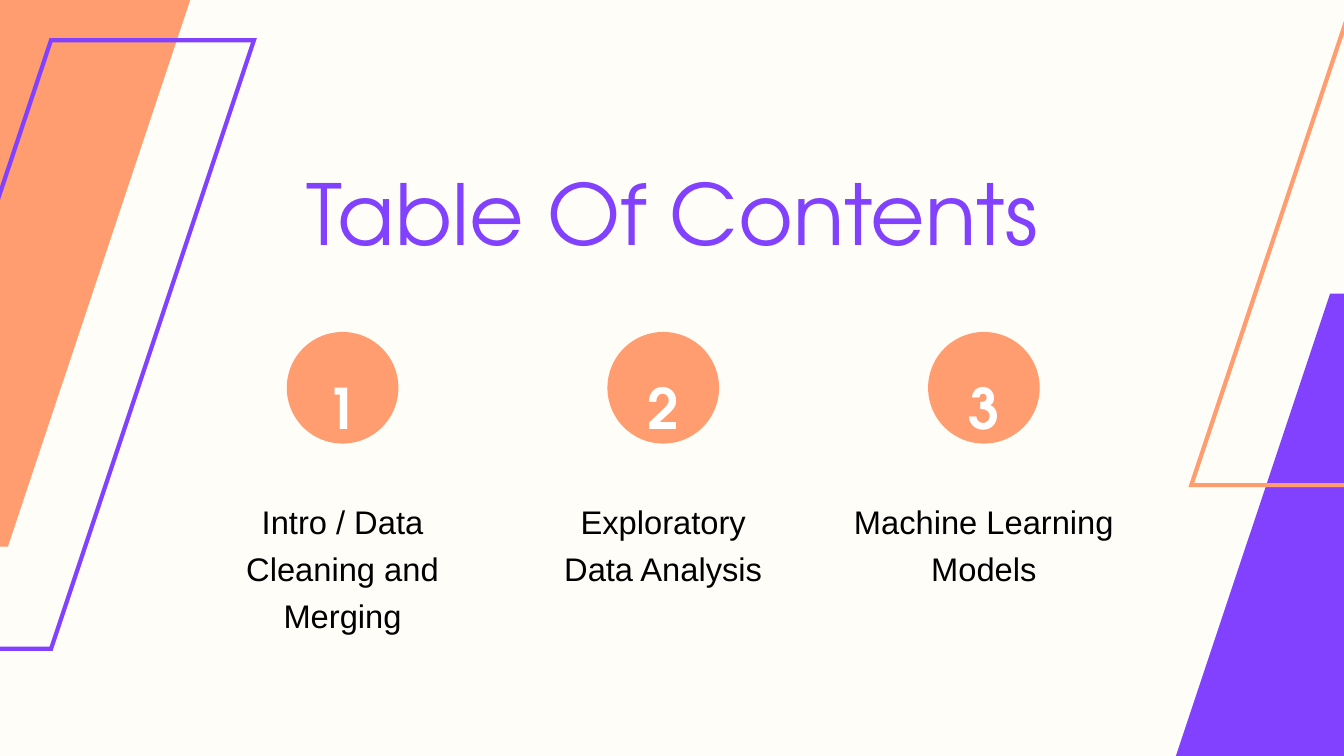
from lxml import etree
from pptx import Presentation
from pptx.dml.color import RGBColor
from pptx.enum.shapes import MSO_SHAPE
from pptx.enum.text import MSO_ANCHOR, MSO_AUTO_SIZE, PP_ALIGN
from pptx.oxml.ns import qn
from pptx.util import Cm, Pt

SLANT = MSO_SHAPE.PARALLELOGRAM
OVAL = MSO_SHAPE.OVAL
TOP = MSO_ANCHOR.TOP
FIXED = MSO_AUTO_SIZE.NONE
MIDDLE = PP_ALIGN.CENTER

CREAM = RGBColor(0xFF, 0xFD, 0xF7)
ORANGE = RGBColor(0xFF, 0x9C, 0x70)
PURPLE = RGBColor(0x81, 0x41, 0xFF)
BLACK = RGBColor(0, 0, 0)
WHITE = RGBColor(0xFF, 0xFF, 0xFF)

FRAME = {"margin_left": 0, "margin_top": 0, "margin_right": 0,
         "margin_bottom": 0, "word_wrap": True, "auto_size": FIXED,
         "vertical_anchor": TOP}
HEAD = {"name": "TeX Gyre Adventor", "size": Pt(90), "bold": False}
DIGIT = {"name": "TeX Gyre Adventor", "size": Pt(60), "bold": True}
LABEL = {"name": "Arial", "size": Pt(35), "bold": False}

BANDS = [
    ((-7.37, -2.34, 15.34, 23.01), ORANGE, True),
    ((-5.74, 1.52, 15.34, 23.01), PURPLE, False),
    ((42.44, 11.1, 15.67, 23.5), PURPLE, True),
    ((45.03, -5.16, 15.67, 23.5), ORANGE, False),
]
TOPICS = [
    ("Intro / Data Cleaning and Merging", 9.19),
    ("Exploratory Data Analysis", 9.19),
    ("Machine Learning Models", 10.54),
]


def apply(target, values):
    for key, value in values.items():
        setattr(target, key, value)


def write(shape, text, style, color, spacing):
    frame = shape.text_frame
    apply(frame, FRAME)
    frame.text = text
    para = frame.paragraphs[0]
    apply(para, {"alignment": MIDDLE, "line_spacing": spacing})
    font = para.runs[0].font
    apply(font, style)
    font.color.rgb = color


def add_label(slide, box, text, style, color, spacing):
    shape = slide.shapes.add_textbox(*map(Cm, box))
    write(shape, text, style, color, spacing)


def add_solid(slide, kind, box, color):
    shape = slide.shapes.add_shape(kind, *map(Cm, box))
    shape.shadow.inherit = False
    shape.fill.solid()
    shape.fill.fore_color.rgb = color
    shape.line.fill.background()
    return shape


def add_band(slide, box, color, filled):
    band = add_solid(slide, SLANT, box, color)
    band.adjustments[0] = 0.5
    if not filled:
        band.fill.background()
        band.line.color.rgb = color
        band.line.width = Pt(4.5)
        line = band.element.spPr.find(qn("a:ln"))
        etree.SubElement(line, qn("a:miter"), lim="800000")


def add_title(slide, box, text):
    title = slide.shapes.title
    apply(title, dict(zip(("left", "top", "width", "height"), map(Cm, box))))
    write(title, text, HEAD, PURPLE, 1.2)


def add_topic(slide, box, number, text):
    left, top, width, height = box
    mid = left + width / 2
    size = 4.22
    add_solid(slide, OVAL, (mid - size / 2, top, size, size), ORANGE)
    add_label(slide, (mid - 0.7, top + 0.56, 1.4, 2.57),
              str(number), DIGIT, WHITE, 1.4)
    drop = 6.14
    add_label(slide, (left, top + drop, width, height - drop),
              text, LABEL, BLACK, 1.2)


def main():
    deck = Presentation()
    deck.slide_width, deck.slide_height = Cm(50.8), Cm(28.58)
    slide = deck.slides.add_slide(deck.slide_layouts[5])
    fill = slide.background.fill
    fill.solid()
    fill.fore_color.rgb = CREAM
    for box, color, filled in BANDS:
        add_band(slide, box, color, filled)
    add_title(slide, (10.49, 5.36, 29.82, 3.86), "Table Of Contents")
    first, step = 12.95, 12.12
    for index, (text, width) in enumerate(TOPICS):
        left = first + index * step - width / 2
        add_topic(slide, (left, 12.55, width, 11.22), index + 1, text)
    deck.save("out.pptx")


if __name__ == "__main__":
    main()
